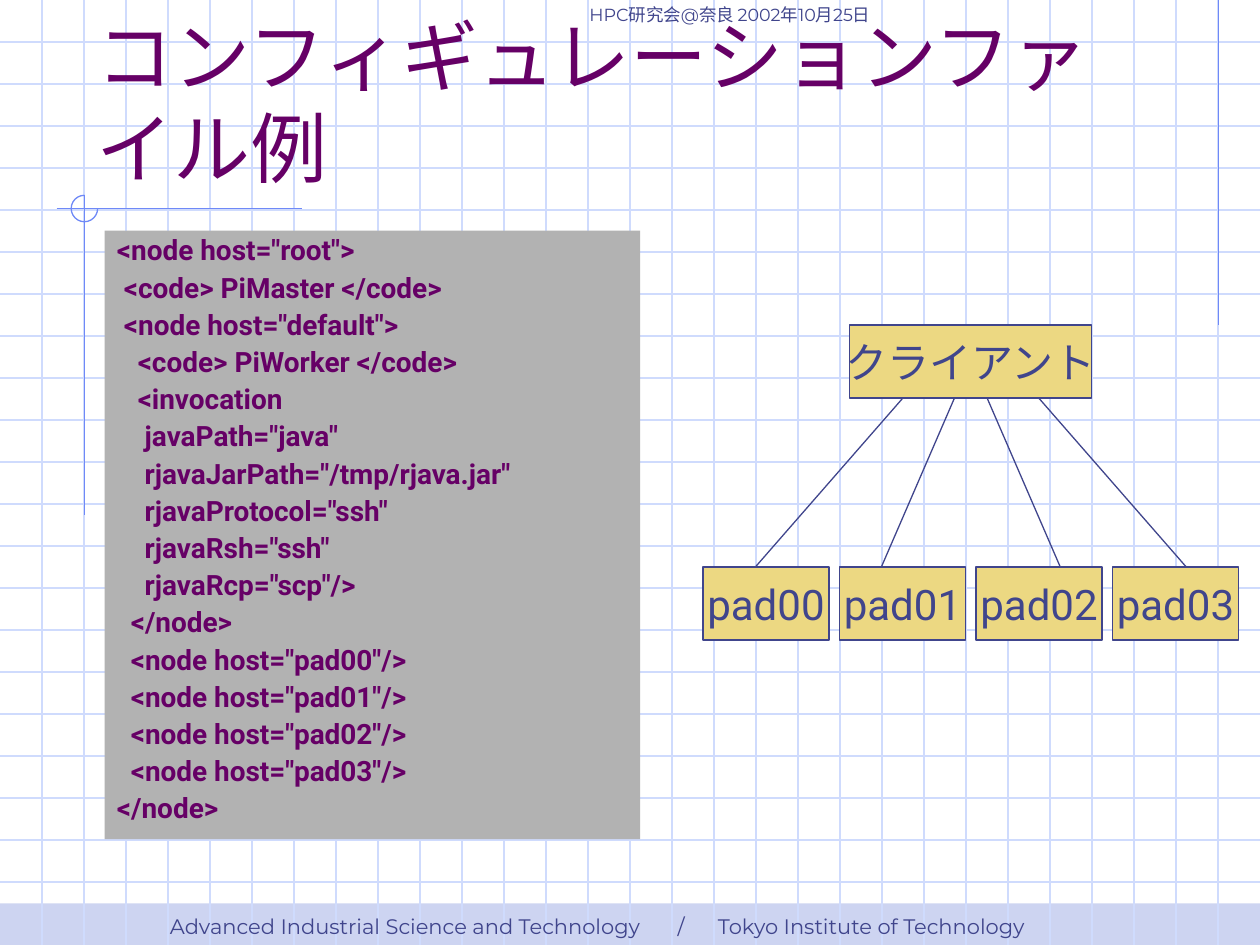
from dataclasses import dataclass

import pptx
import pptx.dml.color
import pptx.enum.shapes
import pptx.enum.text
import pptx.oxml.ns
import pptx.util
from lxml import etree
from pptx.util import Inches

SHAPES = pptx.enum.shapes.MSO_SHAPE
ANCHOR = pptx.enum.text.MSO_ANCHOR
ALIGN = pptx.enum.text.PP_ALIGN


@dataclass(frozen=True)
class Theme:
    grid: str = "CFDBFD"
    accent: str = "6F89F7"
    ink: str = "40458C"
    heading: str = "660066"
    footer_fill: str = "CDD4F1"
    code_fill: str = "B2B2B2"
    node_fill: str = "ECD882"
    body_font: str = "Roboto"
    small_font: str = "Montserrat"
    title_size: int = 44
    node_size: int = 24
    code_size: int = 16
    footer_size: int = 12
    header_size: int = 10
    line_width: float = 0.75


THEME = Theme()

CODE = """\
<node host="root">
 <code> PiMaster </code>
 <node host="default">
   <code> PiWorker </code>
   <invocation
    javaPath="java"
    rjavaJarPath="/tmp/rjava.jar"
    rjavaProtocol="ssh"
    rjavaRsh="ssh"
    rjavaRcp="scp"/>
  </node>
  <node host="pad00"/>
  <node host="pad01"/>
  <node host="pad02"/>
  <node host="pad03"/>
</node>"""


def rgb(color):
    return pptx.dml.color.RGBColor.from_string(color)


def add_line(slide, start, end, color):
    line = slide.shapes.add_connector(
        pptx.enum.shapes.MSO_CONNECTOR.STRAIGHT,
        *(Inches(value) for value in (*start, *end)))
    line.line.color.rgb = rgb(color)
    line.line.width = pptx.util.Pt(THEME.line_width)
    etree.SubElement(line._element.spPr, pptx.oxml.ns.qn("a:effectLst"))


def add_box(slide, box, kind=SHAPES.RECTANGLE, fill=None, line=None):
    shape = slide.shapes.add_shape(kind, *(Inches(value) for value in box))
    shape.shadow.inherit = False
    if fill:
        shape.fill.solid()
        shape.fill.fore_color.rgb = rgb(fill)
    else:
        shape.fill.background()
    if line:
        shape.line.color.rgb = rgb(line)
        shape.line.width = pptx.util.Pt(THEME.line_width)
    else:
        shape.line.fill.background()
    return shape


def add_tab_stops(paragraph, positions):
    properties = paragraph._p.get_or_add_pPr()
    tabs = etree.SubElement(properties, pptx.oxml.ns.qn("a:tabLst"))
    for position in positions:
        etree.SubElement(tabs, pptx.oxml.ns.qn("a:tab"),
                         pos=str(Inches(position)), algn="l")


def write_text(shape, text, size, color=THEME.ink, font=THEME.body_font,
               bold=False, align=ALIGN.LEFT, anchor=ANCHOR.BOTTOM, wrap=True,
               line_spacing=None, space_before=0, tabs=()):
    """Fill the shape with one paragraph for each line of text."""
    frame = shape.text_frame
    frame.word_wrap = wrap
    frame.vertical_anchor = anchor
    for index, content in enumerate(text.splitlines()):
        paragraph = frame.add_paragraph() if index else frame.paragraphs[0]
        paragraph.alignment = align
        if line_spacing:
            paragraph.line_spacing = line_spacing
        if index and space_before:
            paragraph.space_before = pptx.util.Pt(space_before)
        if tabs:
            add_tab_stops(paragraph, tabs)
        run = paragraph.add_run()
        run.text = content
        run.font.name = font
        run.font.size = pptx.util.Pt(size)
        run.font.bold = bold
        run.font.color.rgb = rgb(color)


def add_text(slide, box, text, **style):
    shape = slide.shapes.add_textbox(*(Inches(value) for value in box))
    write_text(shape, text, **style)


def add_grid(slide, box, spacing=1 / 3):
    left, top, width, height = box
    for step in range(1, round(height / spacing)):
        y = top + step * spacing
        add_line(slide, (left, y), (left + width, y), THEME.grid)
    for step in range(1, round(width / spacing)):
        x = left + step * spacing
        add_line(slide, (x, top), (x, top + height), THEME.grid)


def add_crosshair(slide, box):
    """Draw two crossing rules with a three-quarter circle where they meet."""
    left, top, width, height = box
    diameter = 0.21
    x, y = left + 0.22, top + diameter / 2
    add_line(slide, (left, y), (left + width, y), THEME.accent)
    add_line(slide, (x, top), (x, top + height), THEME.accent)
    arc = add_box(slide, (x - diameter / 2, top, diameter, diameter),
                  kind=SHAPES.ARC, line=THEME.accent)
    arc.adjustments[0] = 0
    arc.adjustments[1] = 162  # 270 degrees


def add_footer(slide, box):
    add_text(slide, box,
             "Advanced Industrial Science and Technology\t/\t"
             "Tokyo Institute of Technology",
             size=THEME.footer_size, font=THEME.small_font, tabs=(4.03, 4.35))


def add_code_panel(slide, box):
    panel = add_box(slide, box, fill=THEME.code_fill)
    write_text(panel, CODE, size=THEME.code_size, color=THEME.heading,
               bold=True, anchor=ANCHOR.TOP, line_spacing=0.9, space_before=4)


def add_node(slide, box, name):
    node = add_box(slide, box, fill=THEME.node_fill, line=THEME.ink)
    write_text(node, name, size=THEME.node_size, align=ALIGN.CENTER,
               anchor=ANCHOR.MIDDLE, wrap=False)


def add_node_tree(slide, box):
    """Place the client at the top, its workers below and lines between."""
    left, top, width, height = box
    client_width, worker_width, node_height = 1.92, 1, 0.58
    center = left + width / 2
    worker_top = top + height - node_height
    add_node(slide, (center - client_width / 2, top, client_width, node_height),
             "クライアント")
    workers = [f"pad{number:02}" for number in range(4)]
    pitch = (width - worker_width) / (len(workers) - 1)
    for index, name in enumerate(workers):
        add_node(slide, (left + index * pitch, worker_top, worker_width,
                         node_height), name)
    for side in (-1, 1):
        for start, end in ((0.54, 1.71), (0.13, 0.71)):
            add_line(slide, (center + side * start, top + node_height),
                     (center + side * end, worker_top), THEME.ink)


def build_slide(presentation):
    slide = presentation.slides.add_slide(presentation.slide_layouts[6])
    add_box(slide, (0, 7.17, 10, 0.33), fill=THEME.footer_fill)
    add_grid(slide, (0, 0, 10, 7.5))
    add_line(slide, (9.67, 0), (9.67, 2.58), THEME.accent)
    add_crosshair(slide, (0.45, 1.55, 1.95, 2.54))
    add_footer(slide, (1.25, 7.25, 8, 0.25))
    add_text(slide, (0.67, 0.33, 8.5, 1.25), "コンフィギュレーションファイル例",
             size=THEME.title_size, color=THEME.heading)
    add_code_panel(slide, (0.83, 1.83, 4.25, 4.83))
    add_node_tree(slide, (5.58, 2.58, 4.25, 2.5))
    add_text(slide, (4.58, 0, 4.08, 0.25), "HPC研究会@奈良 2002年10月25日",
             size=THEME.header_size, font=THEME.small_font)


def main():
    presentation = pptx.Presentation()
    presentation.slide_width = Inches(10)
    presentation.slide_height = Inches(7.5)
    build_slide(presentation)
    presentation.save("out.pptx")


if __name__ == "__main__":
    main()
